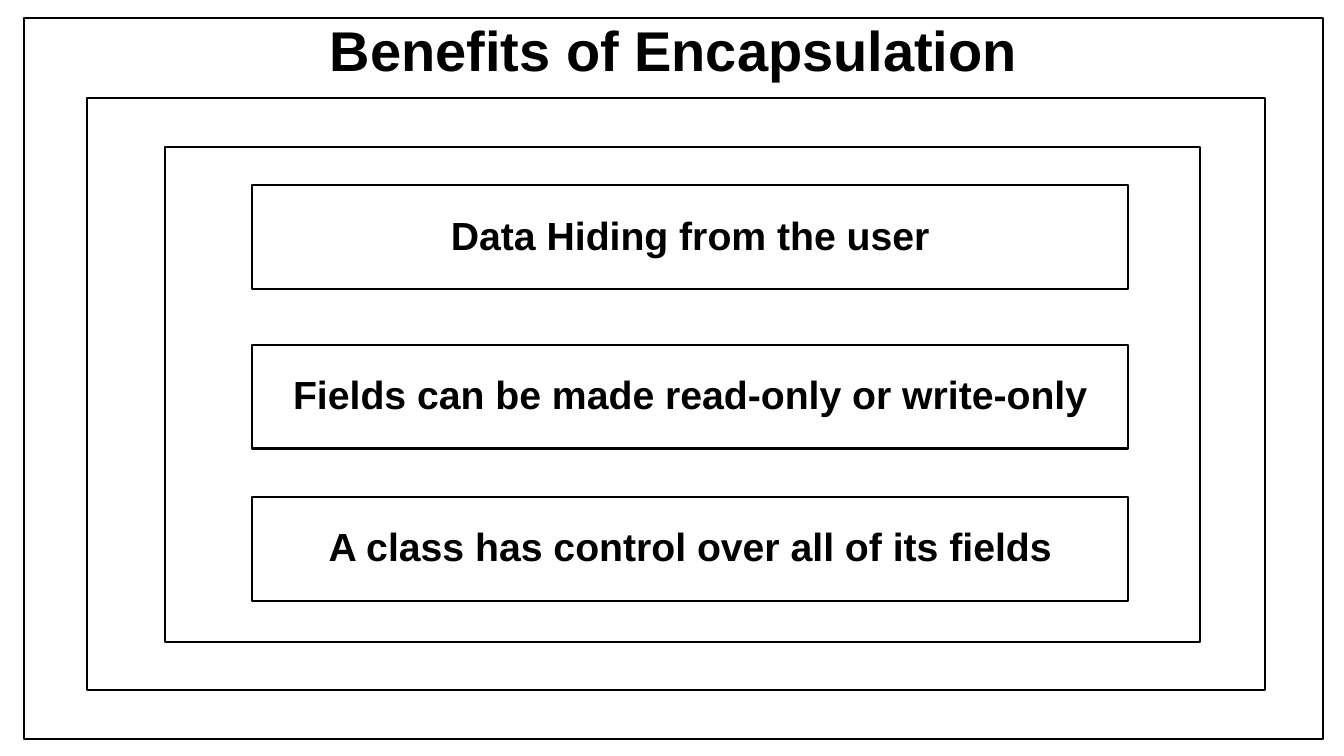
from dataclasses import dataclass

from pptx import Presentation
from pptx.dml.color import RGBColor
from pptx.enum.shapes import MSO_SHAPE
from pptx.enum.text import MSO_ANCHOR, PP_ALIGN
from pptx.util import Emu, Pt

EMU_PER_PX = 9144  # 100 px to the inch


@dataclass(frozen=True)
class Theme:
    ink: RGBColor = RGBColor(0, 0, 0)
    paper: RGBColor = RGBColor(255, 255, 255)
    font: str = "Arial"
    title_size: int = 40
    benefit_size: int = 28
    outline: float = 1.5
    line_spacing: float = 0.9


THEME = Theme()

# Nested frames, outermost first: left, top, width, height
TITLE_FRAME = (24, 18, 1288, 715)
INNER_FRAMES = [(86, 97, 1169, 588), (164, 146, 1026, 491)]

# Benefit boxes share one column; each has its own top
BENEFIT_LEFT, BENEFIT_WIDTH, BENEFIT_HEIGHT = 250, 869, 103
BENEFITS = [
    (184, "Data Hiding from the user"),
    (342, "Fields can be made read-only or write-only"),
    (493, "A class has control over all of its fields"),
]


def px(length):
    return Emu(length * EMU_PER_PX)


def add_frame(slide, bounds):
    frame = slide.shapes.add_shape(MSO_SHAPE.RECTANGLE, *map(px, bounds))
    frame.shadow.inherit = False
    frame.fill.background()
    frame.line.color.rgb = THEME.ink
    frame.line.width = Pt(THEME.outline)
    return frame


def add_caption(frame, wording, size, anchor):
    caption = frame.text_frame
    caption.text = wording
    caption.word_wrap = True
    caption.vertical_anchor = anchor
    paragraph = caption.paragraphs[0]
    paragraph.alignment = PP_ALIGN.CENTER
    paragraph.line_spacing = THEME.line_spacing
    font = paragraph.runs[0].font
    font.name = THEME.font
    font.size = Pt(size)
    font.bold = True
    font.color.rgb = THEME.ink


def main():
    deck = Presentation()
    deck.slide_width, deck.slide_height = px(1333), px(750)
    slide = deck.slides.add_slide(deck.slide_layouts[6])
    slide.background.fill.solid()
    slide.background.fill.fore_color.rgb = THEME.paper

    # Title on the outermost frame
    title_frame = add_frame(slide, TITLE_FRAME)
    add_caption(title_frame, "Benefits of Encapsulation", THEME.title_size, MSO_ANCHOR.TOP)

    # Empty frames around the benefits
    for bounds in INNER_FRAMES:
        add_frame(slide, bounds)

    # Benefits
    for top, wording in BENEFITS:
        benefit = add_frame(slide, (BENEFIT_LEFT, top, BENEFIT_WIDTH, BENEFIT_HEIGHT))
        add_caption(benefit, wording, THEME.benefit_size, MSO_ANCHOR.MIDDLE)

    deck.save("out.pptx")


if __name__ == "__main__":
    main()
